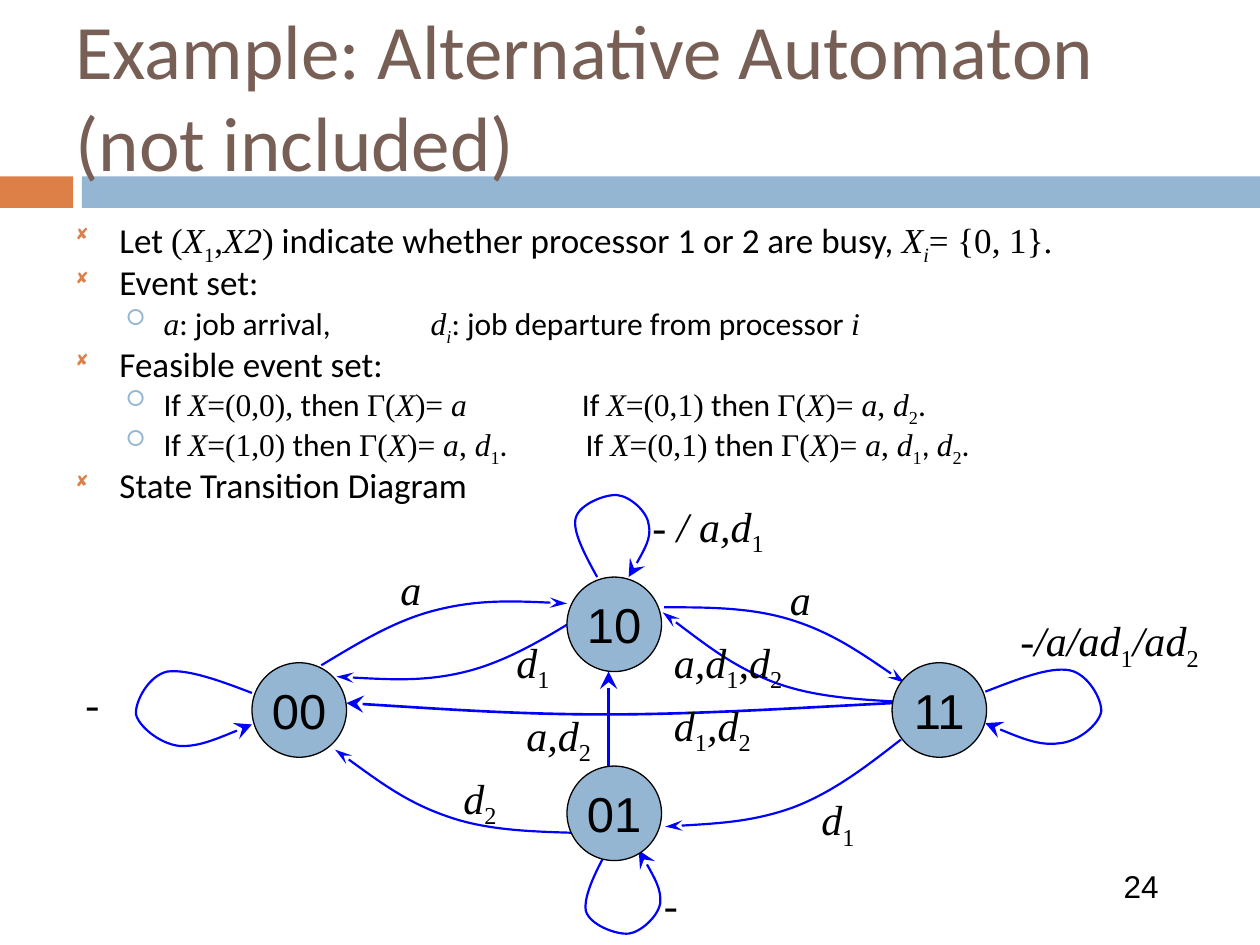
from itertools import groupby

from lxml import etree
from pptx import Presentation
from pptx import util as u
from pptx.dml.color import RGBColor
from pptx.enum import shapes, text
from pptx.oxml import ns


class Theme:
    orange, blue, brown = "DD8047", "94B6D2", "775F55"
    black, arrow = "000000", "0000FF"
    sans, serif, number, bullet = "Calibri", "Times New Roman", "Arial", "Wingdings"
    title, label, state, page = 44, 24, 28, 18
    body = (20, 18)


TITLE = "Example: Alternative Automaton", "(not included)"
PAGE = "24"

# Run styles: s sans, r serif, i serif italic, _ subscript, i_ italic subscript
X, A, D = ("X", "i"), ("a", "i"), ("d", "i")
CHI = ("Χ", "i")
COMMA, STOP = (", ", "r"), (".", "s")
D1, D2 = [D, ("1", "_")], [D, ("2", "_")]


def feasible(state, events, argument=CHI, then=" then "):
    """Runs of 'If X=state then Γ(X)= events'."""
    return [("If ", "s"), X, ("=" + state, "r"), (then, "s"),
            ("Γ(", "r"), argument, (")= ", "r"), *events]


# level, tab stop or None, runs
BODY = [
    (0, None, [("Let ", "s"), ("(", "r"), X, ("1", "_"), (",", "r"), ("X2", "i"), (")", "r"),
               (" indicate whether processor 1 or 2 are busy, ", "s"),
               X, ("i", "i_"), ("= {0, 1}.", "r")]),
    (0, None, [("Event set:", "s")]),
    (1, 2.82, [A, (": job arrival,\t", "s"), D, ("i", "i_"),
               (": job departure from processor ", "s"), ("i", "i")]),
    (0, None, [("Feasible event set:", "s")]),
    (1, 4.02, feasible("(0,0),", [A, ("\t", "s")], X)
     + feasible("(0,1)", [A, COMMA, *D2, STOP])),
    (1, 4.05, feasible("(1,0)", [A, COMMA, *D1, (".\t", "s")])
     + feasible("(0,1)", [A, COMMA, *D1, (", ", "s"), *D2, STOP])),
    (0, None, [("State Transition Diagram", "s")]),
]
# bullet, colour, size %, indent, hanging, space before
LEVELS = [("◻", Theme.orange, 60, 0.35, 0.35, 7), ("□", Theme.blue, 70, 0.7, 0.3, 5.5)]

DIAMETER = 0.75
STATES = {"00": (2, 5.26), "10": (4.5, 4.58), "11": (7.08, 5.26), "01": (4.5, 6.08)}

# Start point, then Bezier points in threes
TRANSITIONS = [
    [(2.55, 5.28), (2.85, 5.1), (3.14, 4.92), (3.47, 4.84), (3.79, 4.76), (4.14, 4.77), (4.5, 4.79)],
    [(5.27, 4.82), (5.62, 4.82), (5.96, 4.82), (6.28, 4.92), (6.6, 5.02), (6.89, 5.22), (7.18, 5.42)],
    [(4.55, 6.61), (4.21, 6.6), (3.86, 6.59), (3.55, 6.48), (3.23, 6.37), (2.95, 6.16), (2.66, 5.95)],
    [(7.15, 5.87), (6.88, 6.08), (6.61, 6.29), (6.29, 6.41), (5.98, 6.52), (5.63, 6.54), (5.28, 6.56)],
    [(4.61, 4.89), (4.32, 5.07), (4.02, 5.25), (3.7, 5.33), (3.38, 5.41), (3.02, 5.39), (2.67, 5.37)],
    [(7.13, 5.57), (6.79, 5.55), (6.44, 5.53), (6.13, 5.41), (5.82, 5.29), (5.54, 5.07), (5.26, 4.86)],
]
RETURN_TO_IDLE = [(7.08, 5.58), (6.31, 5.62), (5.53, 5.67), (4.81, 5.67),
                  (4.08, 5.67), (3.42, 5.62), (2.75, 5.58)]
SELF_LOOPS = [
    [(2, 5.5), (1.74, 5.4), (1.49, 5.31), (1.33, 5.33), (1.18, 5.36), (1.07, 5.57), (1.08, 5.67),
     (1.1, 5.76), (1.26, 5.9), (1.42, 5.92), (1.57, 5.93), (1.78, 5.84), (2, 5.75)],
    [(7.82, 5.49), (8.08, 5.39), (8.33, 5.29), (8.49, 5.32), (8.64, 5.35), (8.75, 5.56), (8.74, 5.65),
     (8.72, 5.75), (8.56, 5.89), (8.4, 5.9), (8.25, 5.92), (8.03, 5.83), (7.82, 5.74)],
    [(4.74, 4.58), (4.64, 4.4), (4.54, 4.21), (4.57, 4.11), (4.6, 4), (4.81, 3.92), (4.9, 3.93),
     (5, 3.94), (5.14, 4.06), (5.15, 4.17), (5.17, 4.27), (5.08, 4.43), (4.99, 4.58)],
    [(4.82, 6.75), (4.72, 6.93), (4.63, 7.12), (4.65, 7.23), (4.68, 7.34), (4.89, 7.42), (4.99, 7.41),
     (5.08, 7.4), (5.22, 7.28), (5.24, 7.17), (5.25, 7.06), (5.16, 6.9), (5.07, 6.75)],
]
# Digits become subscripts
EVENT_LABELS = [
    ("a", 3.08, 4.42, 1.08), ("- / a,d1", 5.08, 3.92, 1.25), ("a", 6.17, 4.5, 1.08),
    ("-", 0.58, 5.33, 1.08), ("d2", 3.58, 6.08, 1.5), ("d1", 6.42, 6.25, 1.58),
    ("d1,d2", 5.25, 5.5, 1.08), ("-/a/ad1/ad2", 8, 4.83, 2), ("-", 5.17, 6.92, 0.42),
    ("d1", 4, 5, 1.5), ("a,d2", 4.08, 5.58, 0.92), ("a,d1,d2", 5.25, 5, 1.58),
]


def rgb(colour):
    return RGBColor.from_string(colour)


def child(parent, tag, **attributes):
    return etree.SubElement(parent, ns.qn(tag), attributes)


def add_run(paragraph, words, size, font, colour=Theme.black, style=""):
    run = paragraph.add_run()
    run.text = words
    run.font.size, run.font.name = u.Pt(size), font
    run.font.color.rgb = rgb(colour)
    if "i" in style:
        run.font.italic = True
    if "_" in style:
        run.font._element.set("baseline", "-25000")


def add_box(slide, *box):
    frame = slide.shapes.add_textbox(*map(u.Inches, box)).text_frame
    frame.word_wrap = True
    return frame


def add_preset(slide, kind, fill, *box):
    shape = slide.shapes.add_shape(kind, *map(u.Inches, box))
    shape.shadow.inherit = False
    shape.fill.solid()
    shape.fill.fore_color.rgb = rgb(fill)
    shape.line.fill.background()
    return shape


def style_arrow(line, width, head="lg"):
    line.color.rgb = rgb(Theme.arrow)
    line.width = u.Pt(width)
    child(line._get_or_add_ln(), "a:tailEnd", type="stealth", w=head, len="lg")


def add_curve(slide, points, width=1.25, head="lg"):
    """Outline the points, then turn each three straight steps into one Bezier."""
    start, *others = [(u.Inches(x), u.Inches(y)) for x, y in points]
    builder = slide.shapes.build_freeform(*start)
    builder.add_line_segments(others, close=False)
    curve = builder.convert_to_shape()
    curve.shadow.inherit = False
    curve.fill.background()
    steps = list(curve._element.iter(ns.qn("a:lnTo")))
    for i in range(0, len(steps), 3):
        bezier = etree.Element(ns.qn("a:cubicBezTo"))
        steps[i].addprevious(bezier)
        for step in steps[i:i + 3]:
            bezier.append(step[0])
            step.getparent().remove(step)
    style_arrow(curve.line, width, head)


def add_body(slide):
    frame = add_box(slide, 0.5, 1.75, 9, 2.33)
    for i, (level, stop, runs) in enumerate(BODY):
        paragraph = frame.paragraphs[0] if i == 0 else frame.add_paragraph()
        bullet, colour, percent, indent, hanging, before = LEVELS[level]
        paragraph.level = level
        paragraph.line_spacing = 0.7
        paragraph.space_before = u.Pt(before if i else 0)
        props = paragraph._p.get_or_add_pPr()
        props.set("marL", str(u.Inches(indent)))
        props.set("indent", str(-u.Inches(hanging)))
        child(child(props, "a:buClr"), "a:srgbClr", val=colour)
        child(props, "a:buSzPct", val=str(percent * 1000))
        child(props, "a:buFont", typeface=Theme.bullet)
        child(props, "a:buChar", char=bullet)
        if stop:
            child(child(props, "a:tabLst"), "a:tab", pos=str(u.Inches(stop)), algn="l")
        for words, style in runs:
            font = Theme.sans if style == "s" else Theme.serif
            add_run(paragraph, words, Theme.body[level], font, style=style)


def add_state(slide, name, left, top):
    circle = add_preset(slide, shapes.MSO_SHAPE.OVAL, Theme.blue, left, top, DIAMETER, DIAMETER)
    circle.line.color.rgb = rgb(Theme.black)
    circle.line.width = u.Pt(0.75)
    frame = circle.text_frame
    frame.word_wrap = False
    frame.vertical_anchor = text.MSO_ANCHOR.MIDDLE
    frame.paragraphs[0].alignment = text.PP_ALIGN.CENTER
    add_run(frame.paragraphs[0], name, Theme.state, Theme.number)


def main():
    deck = Presentation()
    deck.slide_width, deck.slide_height = u.Inches(10), u.Inches(7.5)
    slide = deck.slides.add_slide(deck.slide_layouts[6])

    for colour, left, width in ((Theme.orange, 0, 0.58), (Theme.blue, 0.65, 9.35)):
        add_preset(slide, shapes.MSO_SHAPE.RECTANGLE, colour, left, 1.4, width, 0.25)
    page = add_box(slide, 8.82, 6.83, 1.1, 0.4)
    add_run(page.paragraphs[0], PAGE, Theme.page, Theme.number)

    title = add_box(slide, 0.5, 0, 9, 1.5)
    title.vertical_anchor = text.MSO_ANCHOR.MIDDLE
    for i, line in enumerate(TITLE):
        if i:
            title.paragraphs[0].add_line_break()
        add_run(title.paragraphs[0], line, Theme.title, Theme.sans, Theme.brown)
    add_body(slide)

    for points in TRANSITIONS:
        add_curve(slide, points, head="med")
    for points in SELF_LOOPS:
        add_curve(slide, points)
    add_curve(slide, RETURN_TO_IDLE, 1.5)
    ends = map(u.Inches, (4.83, 6.08, 4.83, 5.33))
    upward = slide.shapes.add_connector(shapes.MSO_CONNECTOR.STRAIGHT, *ends)
    style_arrow(upward.line, 2)
    child(upward._element.spPr, "a:effectLst")

    for events, left, top, width in EVENT_LABELS:
        paragraph = add_box(slide, left, top, width, 0.56).paragraphs[0]
        for is_index, letters in groupby(events, str.isdigit):
            add_run(paragraph, "".join(letters), Theme.label, Theme.serif,
                    style="_" if is_index else "i")
    for name, corner in STATES.items():
        add_state(slide, name, *corner)

    deck.save("out.pptx")


if __name__ == "__main__":
    main()
